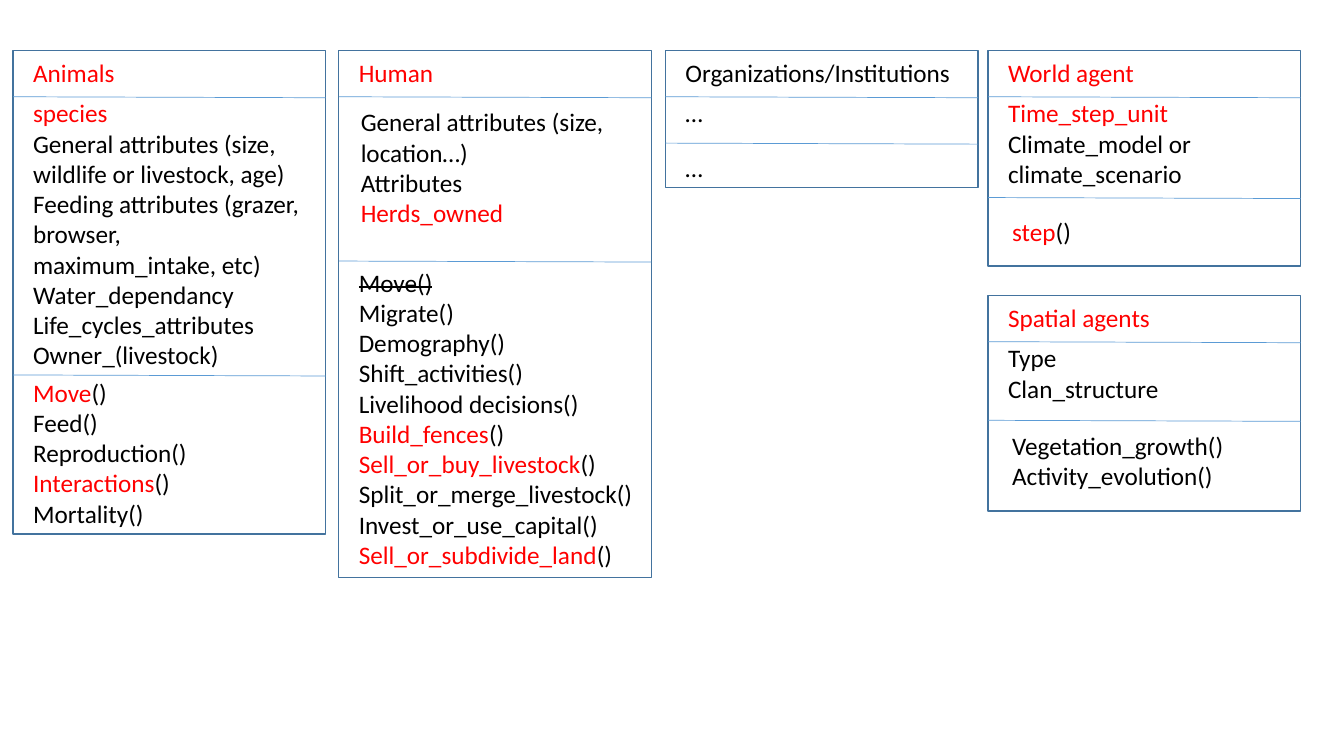
from pptx import Presentation
from pptx.dml.color import RGBColor
from pptx.enum.shapes import MSO_CONNECTOR, MSO_SHAPE
from pptx.oxml.ns import qn
from pptx.util import Inches, Pt
from lxml import etree

RECT = MSO_SHAPE.RECTANGLE
STRAIGHT = MSO_CONNECTOR.STRAIGHT

RED = RGBColor(0xFF, 0x00, 0x00)
BLACK = RGBColor(0x00, 0x00, 0x00)
FRAME = RGBColor(0x43, 0x73, 0x9E)
RULE = RGBColor(0x5B, 0x9B, 0xD5)

CLASS_W = 3.1
HEADER_H = 0.46
RULE_DROP = 0.01
LINE_H = 0.3


def red(text):
    return text, RED, False


def black(text):
    return text, BLACK, False


def struck(text):
    return text, BLACK, True


def red_method(name):
    return [red(name), black("()")]


def black_lines(*texts):
    return [[black(text)] for text in texts]


def add_text(s, x, y, w, lines):
    """Each line is a list of (text, colour, strike) runs."""
    box = s.shapes.add_textbox(Inches(x), Inches(y), Inches(w),
                               Inches(0.1 + LINE_H * len(lines)))
    tf = box.text_frame
    tf.word_wrap = True
    for i, line in enumerate(lines):
        p = tf.paragraphs[0] if i == 0 else tf.add_paragraph()
        for text, colour, strike in line:
            r = p.add_run()
            r.text = text
            r.font.name = "Calibri"
            r.font.size = Pt(18)
            r.font.color.rgb = colour
            if strike:
                r._r.get_or_add_rPr().set("strike", "sngStrike")


def add_rule(s, x, y):
    line = s.shapes.add_connector(STRAIGHT, Inches(x), Inches(y),
                                  Inches(x + CLASS_W), Inches(y + RULE_DROP))
    line.line.color.rgb = RULE
    line.line.width = Pt(0.5)
    etree.SubElement(line._element.spPr, qn("a:effectLst"))


def add_class(s, x, y, h, name, attributes, methods, split,
              attributes_at=(0.1, 0.42), methods_at=(0.1, 0.96)):
    """Class box at x, y; split and the text offsets count from its corner."""
    # Frame
    sp = s.shapes.add_shape(RECT, Inches(x), Inches(y), Inches(CLASS_W), Inches(h))
    sp.shadow.inherit = False
    sp.fill.background()
    sp.line.color.rgb = FRAME
    sp.line.width = Pt(1)

    # Dividers
    add_rule(s, x, y + HEADER_H)
    add_rule(s, x, y + split)

    # Name, attributes and methods
    add_text(s, x + 0.1, y + 0.02, 2.99, [[name]])
    dx, dy = attributes_at
    add_text(s, x + dx, y + dy, 2.9, attributes)
    dx, dy = methods_at
    add_text(s, x + dx, y + dy, 2.99, methods)


def add_class_diagram(s):
    # Animals
    add_class(
        s, 0.13, 0.5, 4.8, red("Animals"),
        [[red("species")]] + black_lines(
            "General attributes (size, wildlife or livestock, age)",
            "Feeding attributes (grazer, browser, maximum_intake, etc)",
            "Water_dependancy", "Life_cycles_attributes", "Owner_(livestock)"),
        [red_method("Move"), *black_lines("Feed()", "Reproduction()"),
         red_method("Interactions"), *black_lines("Mortality()")],
        split=3.22, methods_at=(0.1, 3.19))

    # Human
    add_class(
        s, 3.36, 0.5, 5.23, red("Human"),
        black_lines("General attributes (size, location…)", "Attributes")
        + [[red("Herds_owned")]],
        [[struck("Move()")],
         *black_lines("Migrate()", "Demography()", "Shift_activities()",
                      "Livelihood decisions()"),
         red_method("Build_fences"), red_method("Sell_or_buy_livestock"),
         *black_lines("Split_or_merge_livestock()", "Invest_or_use_capital()"),
         red_method("Sell_or_subdivide_land")],
        split=2.09, attributes_at=(0.12, 0.51), methods_at=(0.1, 2.1))

    # Organizations
    add_class(s, 6.6, 0.5, 1.36, black("Organizations/Institutions"),
              black_lines("…"), black_lines("…"), split=0.92)

    # World
    add_class(
        s, 9.8, 0.5, 2.14, red("World agent"),
        [[red("Time_step_unit")],
         *black_lines("Climate_model or climate_scenario")],
        [red_method("step")], split=1.46, methods_at=(0.14, 1.6))

    # Space
    add_class(
        s, 9.8, 2.93, 2.14, red("Spatial agents"),
        black_lines("Type", "Clan_structure"),
        black_lines("Vegetation_growth()", "Activity_evolution()"),
        split=1.24, methods_at=(0.14, 1.29))


def main():
    prs = Presentation()
    prs.slide_width = Inches(13.33)
    prs.slide_height = Inches(7.5)
    s = prs.slides.add_slide(prs.slide_layouts.get_by_name("Blank"))
    add_class_diagram(s)
    prs.save("out.pptx")


if __name__ == "__main__":
    main()
